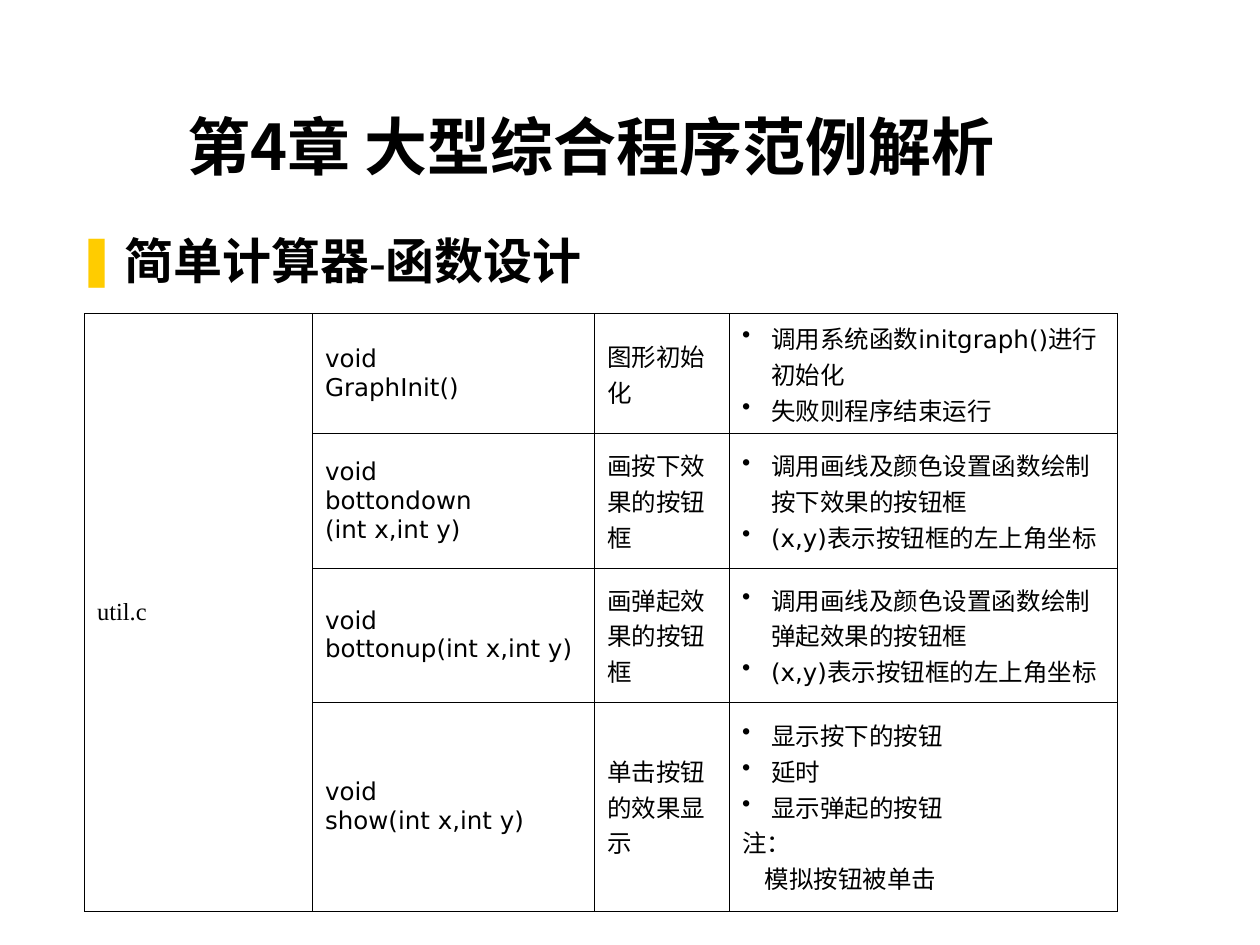
from dataclasses import dataclass

from lxml.etree import SubElement
from pptx import Presentation
from pptx.dml.color import RGBColor
from pptx.enum.text import MSO_ANCHOR as Anchor, MSO_AUTO_SIZE as AutoSize, PP_ALIGN as Align
from pptx.oxml.ns import qn
from pptx.util import Inches, Pt


@dataclass(frozen=True)
class Theme:
    ink: str = "000000"
    accent: str = "FFCC00"
    title_size: int = 36
    heading_size: int = 28
    cell_size: int = 14
    border: float = 0.45
    chinese: str = "Noto Sans CJK SC"
    serif: str = "Times New Roman"
    sans: str = "DejaVu Sans"
    light: str = "Lato"


THEME = Theme()

TITLE = "第4章 大型综合程序范例解析"
HEADING = [("简单计算器-", THEME.serif), ("函数设计", THEME.light)]
SOURCE_FILE = "util.c"
BUTTON_CORNER = "(x,y)表示按钮框的左上角坐标"

# declaration lines, purpose, bulleted steps, note lines as (text, indent)
FUNCTIONS = [
    (["void", "GraphInit()"], "图形初始化",
     ["调用系统函数initgraph()进行初始化", "失败则程序结束运行"], []),
    (["void", "bottondown", "(int x,int y)"], "画按下效果的按钮框",
     ["调用画线及颜色设置函数绘制按下效果的按钮框", BUTTON_CORNER], []),
    (["void", "bottonup(int x,int y)"], "画弹起效果的按钮框",
     ["调用画线及颜色设置函数绘制弹起效果的按钮框", BUTTON_CORNER], []),
    (["void", "show(int x,int y)"], "单击按钮的效果显示",
     ["显示按下的按钮", "延时", "显示弹起的按钮"],
     [("注：", 0), ("模拟按钮被单击", 0.18)]),
]
COLUMN_WIDTHS = [1.81, 2.24, 1.07, 3.08]
ROW_HEIGHTS = [0.8, 1.07, 1.06, 1.66]
STEP_INDENT = 0.23


def style_span(span, size, font, bold=False):
    span.font.size = Pt(size)
    span.font.bold = bold
    span.font.name = font
    span.font.color.rgb = RGBColor.from_string(THEME.ink)
    east_asian = SubElement(span.font._element, qn("a:ea"))
    east_asian.set("typeface", THEME.chinese)


def set_indent(para, left, first=0):
    props = para._p.get_or_add_pPr()
    props.set("marL", str(Inches(left)))
    props.set("indent", str(Inches(first)))
    return props


def add_bullet(para, mark, color, indent):
    props = set_indent(para, indent, -indent)
    bullet_color = SubElement(props, qn("a:buClr"))
    SubElement(bullet_color, qn("a:srgbClr")).set("val", color)
    SubElement(props, qn("a:buChar")).set("char", mark)


def place(box, left, top, width, height):
    box.left, box.top = Inches(left), Inches(top)
    box.width, box.height = Inches(width), Inches(height)
    box.text_frame.word_wrap = True
    box.text_frame.auto_size = AutoSize.NONE


def fill_cell(cell, lines, font):
    cell.text_frame.text = "\n".join(lines)
    for para in cell.text_frame.paragraphs:
        for span in para.runs:
            style_span(span, THEME.cell_size, font)


def format_cell(cell):
    cell.vertical_anchor = Anchor.MIDDLE
    props = cell._tc.get_or_add_tcPr()
    for side in ("lnL", "lnR", "lnT", "lnB"):
        line = SubElement(props, qn(f"a:{side}"))
        line.set("w", str(Pt(THEME.border)))
        fill = SubElement(line, qn("a:solidFill"))
        SubElement(fill, qn("a:srgbClr")).set("val", THEME.ink)
    cell.fill.background()


def add_title(page):
    box = page.shapes.title
    place(box, 0.44, 0.25, 8.5, 1.25)
    box.text_frame.vertical_anchor = Anchor.BOTTOM
    box.text_frame.text = TITLE
    para = box.text_frame.paragraphs[0]
    para.alignment = Align.CENTER
    style_span(para.runs[0], THEME.title_size, THEME.chinese, bold=True)


def add_heading(page):
    box = page.placeholders[1]
    place(box, 0.51, 1.78, 5.83, 1.45)
    para = box.text_frame.paragraphs[0]
    para.alignment = Align.JUSTIFY
    para.space_before = Pt(0)
    add_bullet(para, "❚", THEME.accent, 0.38)
    for text, font in HEADING:
        span = para.add_run()
        span.text = text
        style_span(span, THEME.heading_size, font, bold=True)


def add_function_table(page):
    frame = page.shapes.add_table(
        len(FUNCTIONS), len(COLUMN_WIDTHS), Inches(0.67), Inches(2.49),
        Inches(sum(COLUMN_WIDTHS)), Inches(sum(ROW_HEIGHTS)))
    table = frame.table
    table.first_row = table.horz_banding = False
    for column, width in zip(table.columns, COLUMN_WIDTHS):
        column.width = Inches(width)
    for row, height in zip(table.rows, ROW_HEIGHTS):
        row.height = Inches(height)
    for cell in table.iter_cells():
        format_cell(cell)

    table.cell(0, 0).merge(table.cell(len(FUNCTIONS) - 1, 0))
    fill_cell(table.cell(0, 0), [SOURCE_FILE], THEME.serif)
    for row, (declaration, purpose, steps, notes) in enumerate(FUNCTIONS):
        fill_cell(table.cell(row, 1), declaration, THEME.sans)
        fill_cell(table.cell(row, 2), [purpose], THEME.sans)
        details = table.cell(row, 3)
        fill_cell(details, steps + [text for text, _ in notes],
                  THEME.serif if notes else THEME.sans)
        paras = details.text_frame.paragraphs
        for para in paras[:len(steps)]:
            add_bullet(para, "•", THEME.ink, STEP_INDENT)
        for para, (_, indent) in zip(paras[len(steps):], notes):
            set_indent(para, indent)


def main():
    deck = Presentation()
    deck.slide_width, deck.slide_height = Inches(10), Inches(7.5)
    page = deck.slides.add_slide(deck.slide_layouts[1])
    add_title(page)
    add_heading(page)
    add_function_table(page)
    deck.save("out.pptx")


if __name__ == "__main__":
    main()
